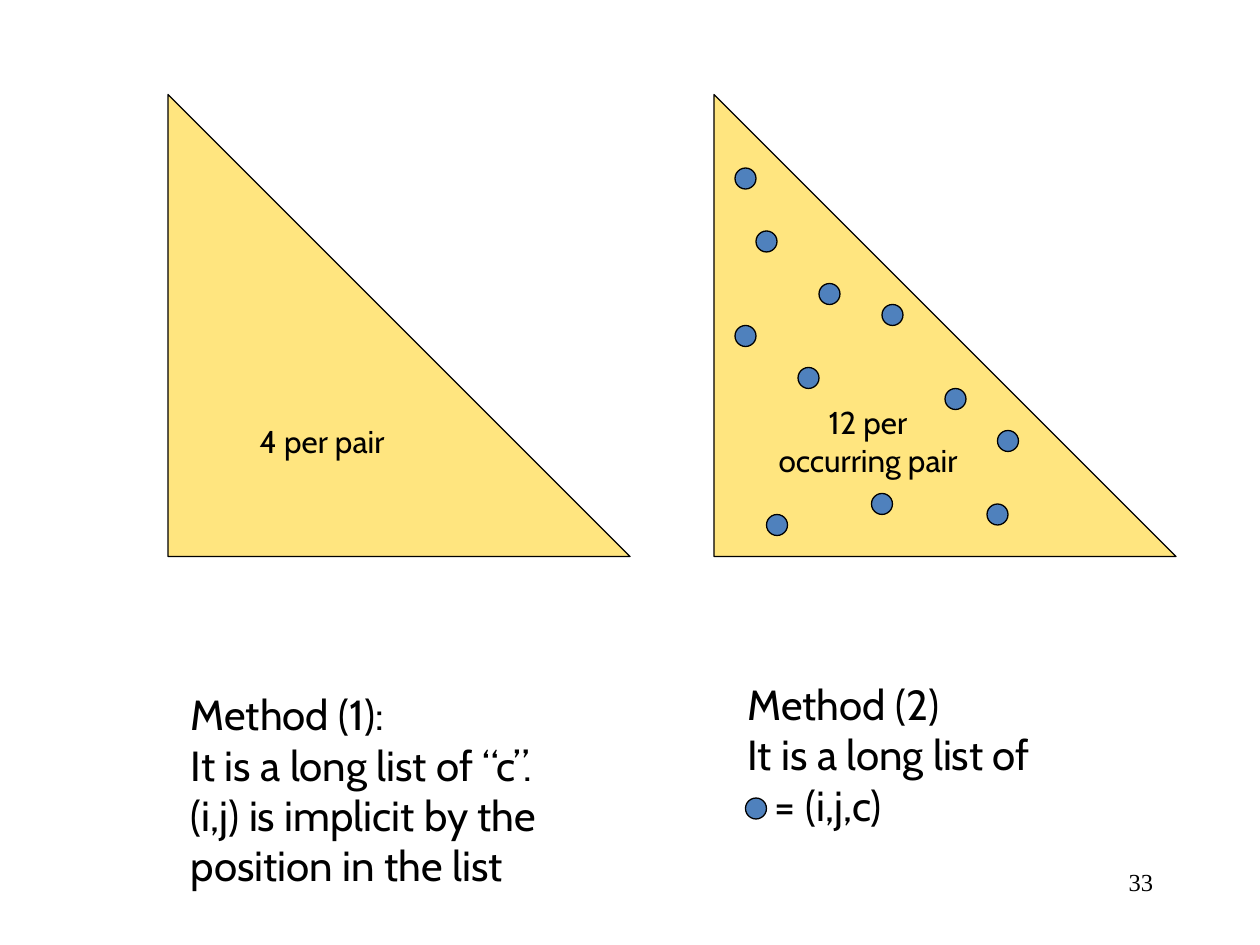
from lxml import etree
from pptx import Presentation
from pptx.dml.color import RGBColor
from pptx.enum.shapes import MSO_SHAPE as SHAPE
from pptx.enum.text import MSO_ANCHOR as ANCHOR, PP_ALIGN as ALIGN
from pptx.oxml.ns import qn
from pptx.util import Pt

PX = 7620  # 120 px to the inch
BLACK, YELLOW, BLUE = "000000", "FFCC00", "4F81BD"


def write(sp, text, size, align=ALIGN.LEFT, font="Cabin"):
    tf = sp.text_frame
    tf.word_wrap = True
    tf.text = text
    for p in tf.paragraphs:
        p.alignment = align
        for r in p.runs:
            r.font.name, r.font.size = font, Pt(size)
            r.font.color.rgb = RGBColor.from_string(BLACK)
    return tf


def add_outlined(kind, x, y, size, color):
    sp = slide.shapes.add_shape(kind, x * PX, y * PX, size * PX, size * PX)
    sp.shadow.inherit = False
    sp.fill.solid()
    sp.fill.fore_color.rgb = RGBColor.from_string(color)
    sp.line.color.rgb = RGBColor.from_string(BLACK)
    sp.line.width = Pt(0.75)
    return sp


prs = Presentation()
prs.slide_width, prs.slide_height = 1200 * PX, 900 * PX
slide = prs.slides.add_slide(prs.slide_layouts[6])

# Triangles of pairs
for x, label in [(160, "4 per pair"), (680, "12 per\noccurring pair")]:
    triangle = add_outlined(SHAPE.RIGHT_TRIANGLE, x, 90, 440, YELLOW)
    color = triangle.fill._xPr.find(qn("a:solidFill"))[0]
    etree.SubElement(color, qn("a:alpha"), val="50000")
    write(triangle, label, 18, ALIGN.CENTER).vertical_anchor = ANCHOR.MIDDLE

# Method descriptions
methods = [
    (170, 650, 421, 204, "Method (1):\nIt is a long list of “c”.\n"
                         "(i,j) is implicit by the\nposition in the list"),
    (700, 640, 328, 157, "Method (2)\nIt is a long list of\n= (i,j,c)"),
]
for x, y, w, h, text in methods:
    box = slide.shapes.add_textbox(x * PX, y * PX, w * PX, h * PX)
    tf = write(box, text, 24)
# Room for the dot in front of the last line
tf.paragraphs[-1]._p.get_or_add_pPr().set("marL", str(26 * PX))

# Occurring pairs, then the dot of the legend
dots = [(950, 410), (830, 470), (840, 290), (720, 220), (900, 370), (940, 480),
        (730, 490), (760, 350), (780, 270), (700, 160), (700, 310), (710, 760)]
for x, y in dots:
    add_outlined(SHAPE.OVAL, x, y, 20, BLUE)

# Slide number
box = slide.shapes.add_textbox(860 * PX, 820 * PX, 250 * PX, 60 * PX)
write(box, "33", 14, ALIGN.RIGHT, "Times New Roman")

prs.save("out.pptx")
